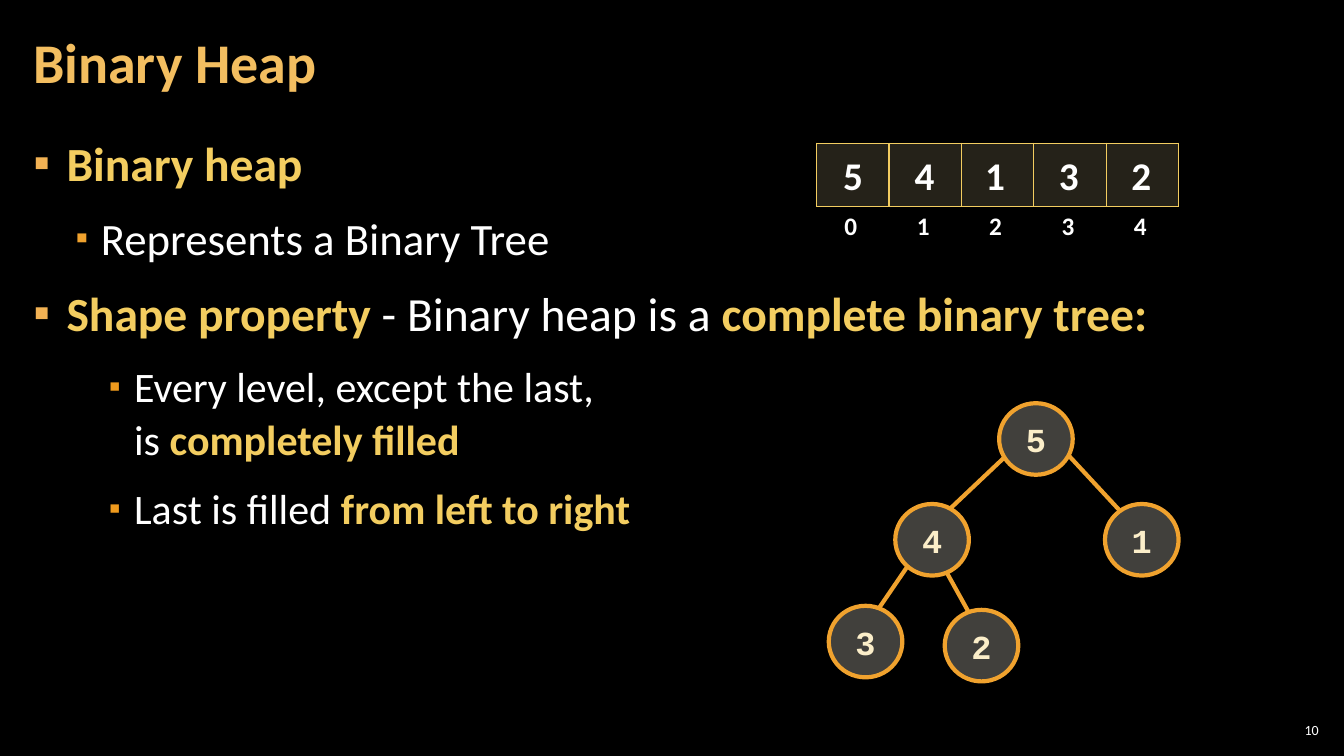
import pptx
import pptx.dml.color
import pptx.enum.shapes
import pptx.enum.text
import pptx.oxml
import pptx.oxml.ns
import pptx.util

PX = 9144
COLORS = {
    "background": "000000", "text": "FFFFFF", "title": "F3BE60",
    "accent": "F3CD60", "cell": "7C7154", "node": "D9D5C7",
    "node_line": "F0A22E", "node_text": "FBEEC9",
    "bullet0": "F2B254", "bullet1": "F0A22E", "bullet2": "EF9A1D",
}
LEVELS = [
    {"indent": 33, "hang": 33, "size": 34, "bullet_size": 100},
    {"indent": 67, "hang": 25, "size": 32, "bullet_size": 80},
    {"indent": 100, "hang": 25, "size": 30, "bullet_size": 80},
]
BULLETS = [
    (0, [("Binary heap", True)]),
    (1, [("Represents a Binary Tree", False)]),
    (0, [("Shape property ", True), ("- Binary heap is a ", False),
         ("complete binary tree:", True)]),
    (2, [("Every level, except the last, ", False), None, ("is ", False),
         ("completely filled", True)]),
    (2, [("Last is filled ", False), ("from left to right", True)]),
]
HEAP = ["5", "4", "1", "3", "2"]
VALUE_LEFTS = [826, 897, 967, 1040, 1112]
NODES = [(991, 400), (888, 500), (1096, 500), (822, 601), (937, 605)]
EDGES = [(997, 453, 942, 505), (900, 562, 872, 603),
         (939, 568, 960, 606), (1060, 452, 1111, 507)]
ALIGN = pptx.enum.text.PP_ALIGN
MIDDLE = pptx.enum.text.MSO_ANCHOR.MIDDLE


def px(*values):
    """Turn pixel lengths into EMU."""
    return [pptx.util.Emu(v * PX) for v in values]


def rgb(name):
    """Look up a named colour."""
    return pptx.dml.color.RGBColor.from_string(COLORS[name])


def xml(markup):
    """Parse a DrawingML element."""
    return pptx.oxml.parse_xml(
        markup.replace(" ", f" {pptx.oxml.ns.nsdecls('a')} ", 1))


def add_run(p, text, size, color, bold=True, font="Calibri"):
    """Add one formatted run to a paragraph."""
    r = p.add_run()
    r.text = text
    r.font.name = font
    r.font.size = pptx.util.Pt(size)
    r.font.bold = bold
    r.font.color.rgb = rgb(color)


def fill_translucent(fill, color):
    """Fill with a colour at 30 percent opacity."""
    fill.solid()
    fill.fore_color.rgb = rgb(color)
    clr = fill._xPr.find(".//" + pptx.oxml.ns.qn("a:srgbClr"))
    clr.append(xml('<a:alpha val="30000"/>'))


def add_box(s, box, inset_x, inset_y, anchor=MIDDLE):
    """Add a wrapping text box and return its frame."""
    tf = s.shapes.add_textbox(*px(*box)).text_frame
    tf.word_wrap = True
    tf.vertical_anchor = anchor
    tf.margin_left, tf.margin_right = px(inset_x, inset_x)
    tf.margin_top, tf.margin_bottom = px(inset_y, inset_y)
    return tf


def add_line_of_text(s, box, inset_x, text, size, color, bold, align, spacing=1.0):
    """Add a box with a single paragraph."""
    p = add_box(s, box, inset_x, 4).paragraphs[0]
    p.alignment = align
    p.line_spacing = spacing
    add_run(p, text, size, color, bold)


def set_bullet(p, level):
    """Give a paragraph the square bullet of its level."""
    style = LEVELS[level]
    pPr = p._p.get_or_add_pPr()
    pPr.set("marL", str(style["indent"] * PX))
    pPr.set("indent", str(-style["hang"] * PX))
    pPr.append(xml(f'<a:buClr ><a:srgbClr val="{COLORS[f"bullet{level}"]}"/></a:buClr>'))
    pPr.append(xml(f'<a:buSzPct val="{style["bullet_size"] * 1000}"/>'))
    pPr.append(xml('<a:buFont typeface="Arial"/>'))
    pPr.append(xml('<a:buChar char="▪"/>'))


def add_bullets(s, box):
    """Add the bulleted body text."""
    tf = add_box(s, box, 12, 4, pptx.enum.text.MSO_ANCHOR.TOP)
    for i, (level, runs) in enumerate(BULLETS):
        p = tf.add_paragraph() if i else tf.paragraphs[0]
        p.level = level
        set_bullet(p, level)
        p.line_spacing = 1.05
        p.space_before = pptx.util.Pt(6 if i else 0)
        p.space_after = pptx.util.Pt(6)
        for run in runs:
            if run is None:
                p.add_line_break()
                continue
            text, strong = run
            add_run(p, text, LEVELS[level]["size"],
                    "accent" if strong else "text", strong)


def set_borders(cell, color):
    """Draw all four cell borders, or none without a colour."""
    paint = (f'<a:solidFill><a:srgbClr val="{COLORS[color]}"/></a:solidFill>'
             if color else "<a:noFill/>")
    tcPr = cell._tc.get_or_add_tcPr()
    for i, side in enumerate("LRTB"):
        tcPr.insert(i, xml(f'<a:ln{side} w="12700">{paint}</a:ln{side}>'))


def add_row(s, x, y, h, values=None, fill=None, border=None):
    """Add a one-row table, empty or with centred values."""
    tbl = s.shapes.add_table(1, len(HEAP), *px(x, y, 359, h)).table
    tbl.first_row = tbl.horz_banding = False
    for i, cell in enumerate(tbl.rows[0].cells):
        cell.vertical_anchor = MIDDLE
        if fill:
            fill_translucent(cell.fill, fill)
        else:
            cell.fill.background()
        set_borders(cell, border)
        if values:
            p = cell.text_frame.paragraphs[0]
            p.alignment = ALIGN.CENTER
            add_run(p, values[i], 18, "text")


def add_edge(s, ends):
    """Connect two tree nodes with a line."""
    sp = s.shapes.add_connector(pptx.enum.shapes.MSO_CONNECTOR.STRAIGHT, *px(*ends))
    sp.line.color.rgb = rgb("node_line")
    sp.line.width = pptx.util.Pt(3)
    sp._element.spPr.append(xml("<a:effectLst />"))


def add_node(s, x, y, value):
    """Add a round tree node."""
    sp = s.shapes.add_shape(pptx.enum.shapes.MSO_SHAPE.OVAL, *px(x, y, 73, 71))
    sp.shadow.inherit = False
    fill_translucent(sp.fill, "node")
    sp.line.color.rgb = rgb("node_line")
    sp.line.width = pptx.util.Pt(3)
    tf = sp.text_frame
    tf.word_wrap = False
    tf.vertical_anchor = MIDDLE
    p = tf.paragraphs[0]
    p.alignment = ALIGN.CENTER
    add_run(p, value, 24, "node_text", font="Courier New")


def main():
    """Build the binary heap slide."""
    prs = pptx.Presentation()
    prs.slide_width, prs.slide_height = px(1333, 750)
    s = prs.slides.add_slide(prs.slide_layouts[6])
    s.background.fill.solid()
    s.background.fill.fore_color.rgb = rgb("background")
    add_line_of_text(s, (1265, 714, 47, 21), 4, "10", 10, "text", False, ALIGN.RIGHT)
    add_bullets(s, (21, 126, 1291, 609))
    add_line_of_text(s, (21, 4, 1047, 121), 12, "Binary Heap", 40, "title", True, ALIGN.LEFT, 0.9)
    for ends in EDGES:
        add_edge(s, ends)
    for (x, y), value in zip(NODES, HEAP):
        add_node(s, x, y, value)
    add_row(s, 810, 142, 63, fill="cell", border="accent")
    for x, value in zip(VALUE_LEFTS, HEAP):
        add_line_of_text(s, (x, 145, 40, 57), 10, value, 28, "text", True, ALIGN.CENTER)
    add_row(s, 808, 205, 40, [str(i) for i in range(len(HEAP))])
    prs.save("out.pptx")


if __name__ == "__main__":
    main()
